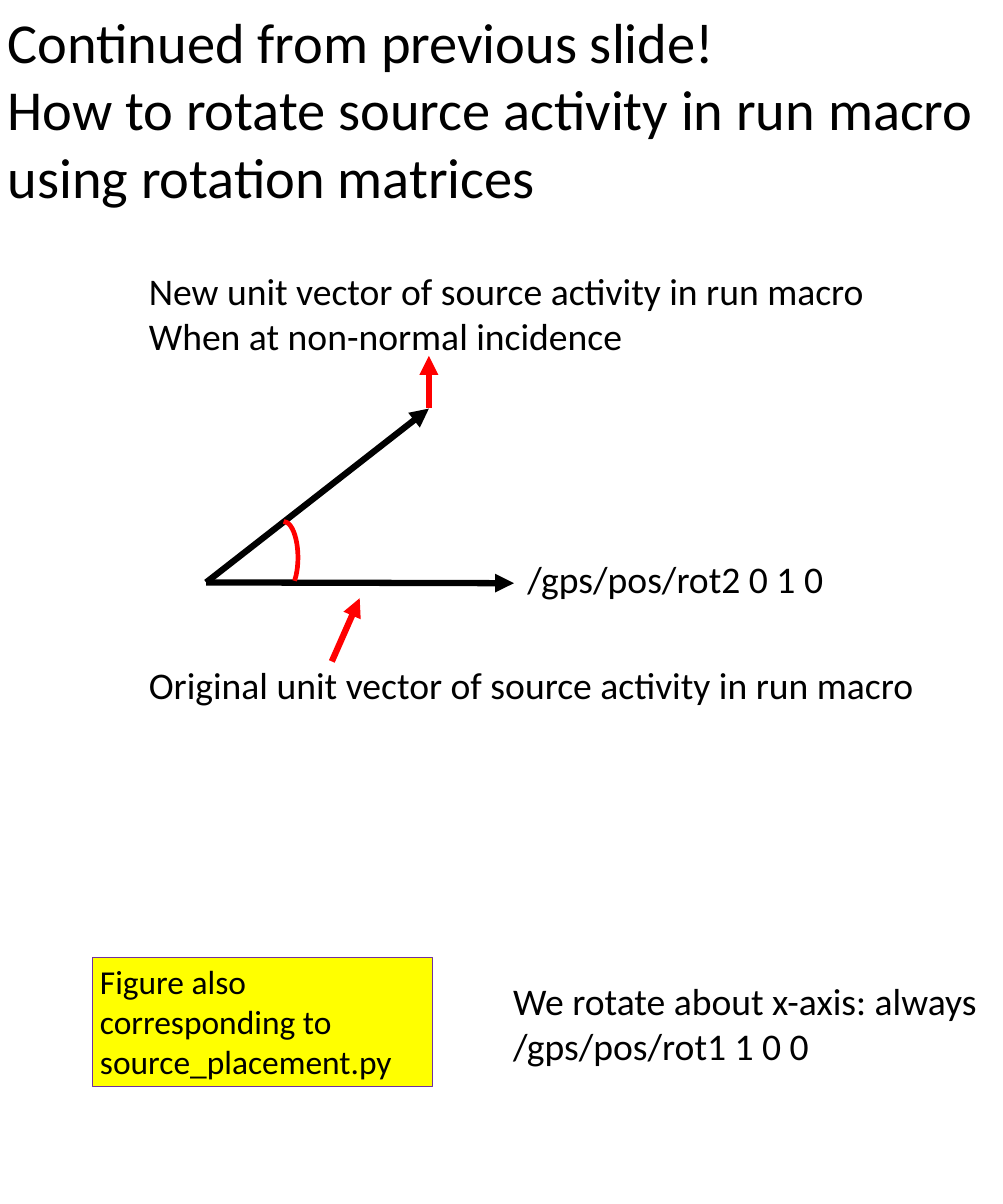
from typing import NamedTuple

from lxml.etree import SubElement
from pptx import Presentation
from pptx.dml.color import RGBColor
from pptx.enum.shapes import MSO_CONNECTOR, MSO_SHAPE
from pptx.enum.text import MSO_ANCHOR, MSO_AUTO_SIZE, PP_ALIGN
from pptx.oxml.ns import qn
from pptx.util import Inches, Pt

BLACK, RED, YELLOW, PURPLE = "000000", "FF0000", "FFFF00", "7030A0"
ORIGIN = (2.74, 7.74)


class Arrow(NamedTuple):
    start: tuple[float, float]
    end: tuple[float, float]
    color: str


class Label(NamedTuple):
    text: str
    left: float
    top: float
    width: float
    height: float


ARROWS = [
    Arrow(ORIGIN, (5.7, 5.43), BLACK),
    Arrow(ORIGIN, (6.83, 7.75), BLACK),
    Arrow((5.7, 5.42), (5.7, 4.73), RED),
    Arrow((4.41, 8.79), (4.78, 7.95), RED),
]

LABELS = [
    Label("Original unit vector of source activity in run macro", 1.88, 8.75, 10.46, 0.71),
    Label("/gps/pos/rot2 0 1 0", 6.91, 7.34, 4.29, 0.71),
    Label("New unit vector of source activity in run macro\n"
          "When at non-normal incidence", 1.88, 3.51, 9.8, 1.31),
    Label("We rotate about x-axis: always\v/gps/pos/rot1 1 0 0", 6.72, 12.94, 6.54, 1.92),
]


def rgb(color: str) -> RGBColor:
    return RGBColor.from_string(color)


def set_line(shape, color: str, width: float) -> None:
    shape.line.color.rgb = rgb(color)
    shape.line.width = Pt(width)


def write_text(shape, text: str, *, size: float = 36, color: str = BLACK) -> None:
    """Fill a shape with left-aligned text; \\n starts a paragraph, \\v a line."""
    frame = shape.text_frame
    frame.text = text
    frame.word_wrap = True
    frame.auto_size = MSO_AUTO_SIZE.NONE
    frame.vertical_anchor = MSO_ANCHOR.TOP
    for paragraph in frame.paragraphs:
        paragraph.alignment = PP_ALIGN.LEFT
        paragraph.font.name = "Calibri"
        paragraph.font.size = Pt(size)
        paragraph.font.color.rgb = rgb(color)


def add_label(slide, label: Label) -> None:
    box = slide.shapes.add_textbox(Inches(label.left), Inches(label.top),
                                   Inches(label.width), Inches(label.height))
    write_text(box, label.text)


def add_arrow(slide, arrow: Arrow) -> None:
    points = [Inches(value) for value in (*arrow.start, *arrow.end)]
    connector = slide.shapes.add_connector(MSO_CONNECTOR.STRAIGHT, *points)
    set_line(connector, arrow.color, 6)
    SubElement(connector.line._get_or_add_ln(), qn("a:tailEnd"), type="triangle")
    SubElement(connector._element.spPr, qn("a:effectLst"))


def add_angle_arc(slide) -> None:
    arc = slide.shapes.add_shape(MSO_SHAPE.ARC, Inches(3.58), Inches(6.93),
                                 Inches(0.38), Inches(0.96))
    arc.shadow.inherit = False
    arc.fill.background()
    arc.adjustments[0] = 162
    arc.adjustments[1] = 38.88
    set_line(arc, RED, 4.5)


def add_note(slide) -> None:
    note = slide.shapes.add_shape(MSO_SHAPE.RECTANGLE, Inches(1.23), Inches(12.72),
                                  Inches(4.52), Inches(1.72))
    note.shadow.inherit = False
    note.fill.solid()
    note.fill.fore_color.rgb = rgb(YELLOW)
    set_line(note, PURPLE, 0.75)
    write_text(note, "Figure also corresponding to source_placement.py", size=32)


def set_title(slide) -> None:
    title = slide.shapes.title
    title.left, title.top = Inches(0), Inches(0.04)
    title.width, title.height = Inches(13.33), Inches(2.83)
    write_text(title, "Continued from previous slide!\v"
               "How to rotate source activity in run macro using rotation matrices", size=54)


def main() -> None:
    presentation = Presentation()
    presentation.slide_width = Inches(13.33)
    presentation.slide_height = Inches(16)
    slide = presentation.slides.add_slide(presentation.slide_layouts[5])
    set_title(slide)
    for arrow in ARROWS:
        add_arrow(slide, arrow)
    for label in LABELS:
        add_label(slide, label)
    add_angle_arc(slide)
    add_note(slide)
    presentation.save("out.pptx")


if __name__ == "__main__":
    main()
